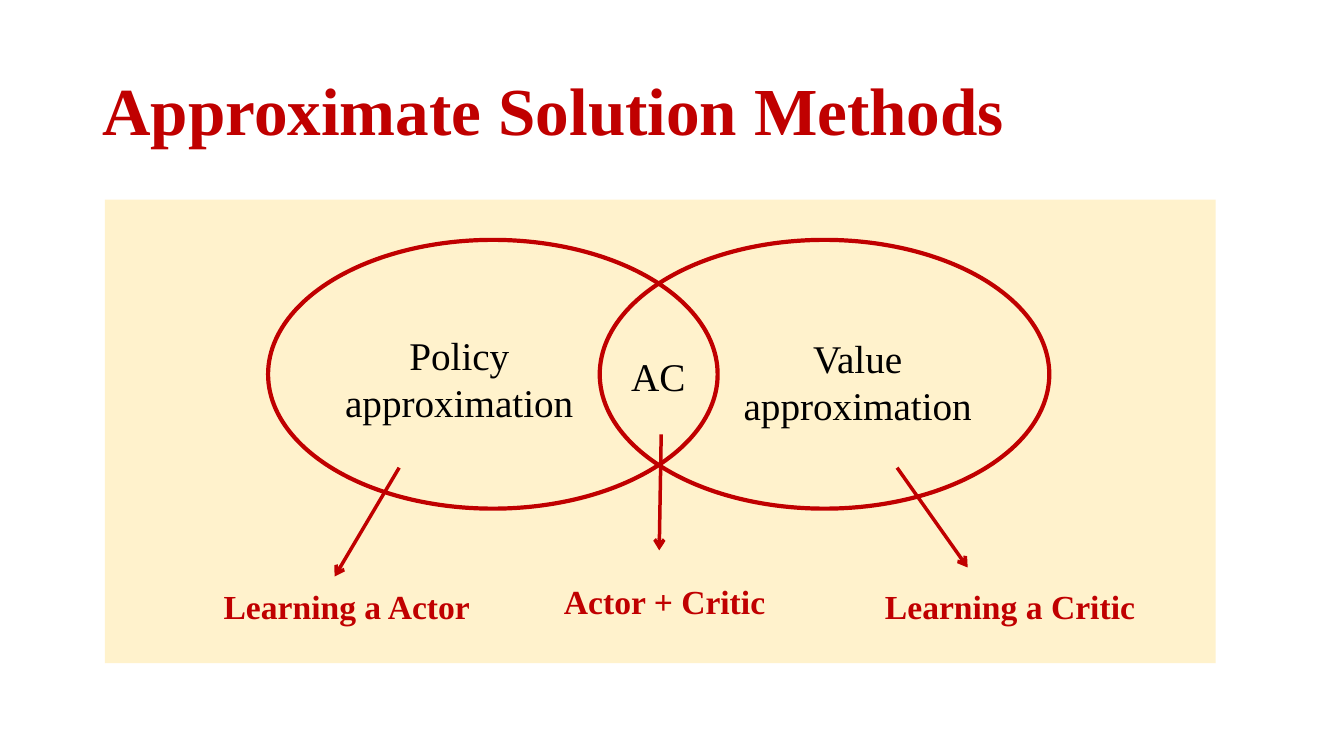
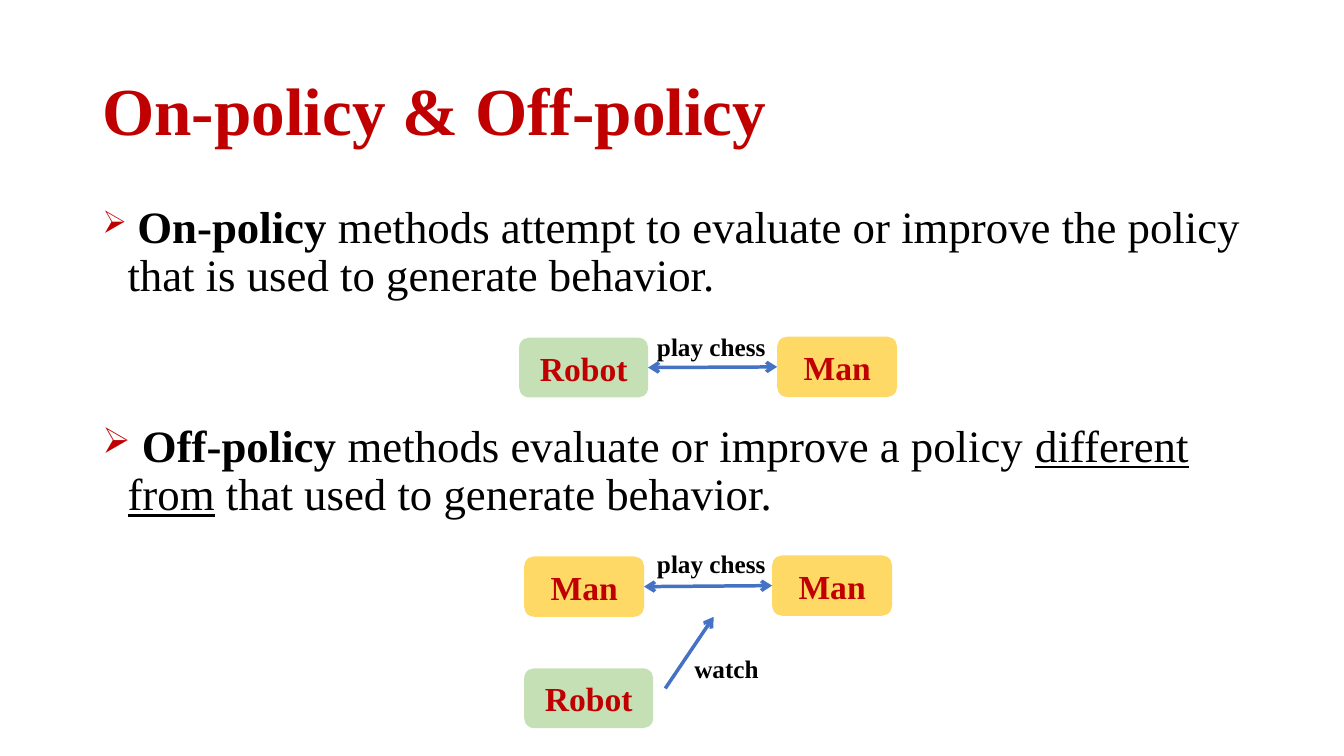
from typing import NamedTuple, Optional

from lxml.etree import SubElement
from pptx import Presentation
from pptx.dml.color import RGBColor
from pptx.enum.shapes import MSO_CONNECTOR, MSO_SHAPE
from pptx.enum.text import MSO_ANCHOR, PP_ALIGN
from pptx.oxml.ns import qn
from pptx.util import Emu, Inches, Pt

RED = RGBColor(0xC0, 0x00, 0x00)
BLACK = RGBColor(0x00, 0x00, 0x00)
BLUE = RGBColor(0x44, 0x72, 0xC4)
CREAM = RGBColor(0xFF, 0xF2, 0xCC)
GOLD = RGBColor(0xFF, 0xD9, 0x66)
GREEN = RGBColor(0xC5, 0xE0, 0xB4)
FONT = "Times New Roman"

# Square grid: 40 columns by 22.5 rows
WIDTH, HEIGHT = Inches(13.333), Inches(7.5)
COLS, ROWS = 40, 22.5


class Box(NamedTuple):
    col: float
    row: float
    cols: float
    rows: float


class Style(NamedTuple):
    size: float
    color: RGBColor = BLACK
    bold: bool = False
    underline: bool = False


class Label(NamedTuple):
    text: str
    box: Box
    style: Style
    align: PP_ALIGN = PP_ALIGN.CENTER


class Span(NamedTuple):
    text: str
    style: Style


class Bullet(NamedTuple):
    box: Box
    spans: tuple[Span, ...]


class Arrow(NamedTuple):
    start: tuple[float, float]
    end: tuple[float, float]
    color: RGBColor


class Player(NamedTuple):
    name: str
    col: float
    row: float


class PlayerKind(NamedTuple):
    cols: float
    rows: float
    fill: RGBColor


TITLE = Style(48, RED, bold=True)
SET_NAME = Style(28)
CAPTION = Style(24, RED, bold=True)
NOTE = Style(18, bold=True)
BODY = Style(32)
STRONG = Style(32, bold=True)
UNDERLINED = Style(32, underline=True)
KINDS = {"Man": PlayerKind(3.57, 1.8, GOLD), "Robot": PlayerKind(3.84, 1.78, GREEN)}


def x(cols: float) -> Emu:
    return Emu(round(WIDTH * cols / COLS))


def y(rows: float) -> Emu:
    return Emu(round(HEIGHT * rows / ROWS))


def place(box: Box) -> tuple[Emu, Emu, Emu, Emu]:
    return x(box.col), y(box.row), x(box.cols), y(box.rows)


def format_run(r, style: Style) -> None:
    r.font.name = FONT
    r.font.size = Pt(style.size)
    r.font.bold = style.bold
    r.font.underline = style.underline
    r.font.color.rgb = style.color


def set_text(tf, text: str, style: Style, align: PP_ALIGN):
    tf.text = text
    tf.word_wrap = True
    p = tf.paragraphs[0]
    p.alignment = align
    format_run(p.runs[0], style)
    return p


def add_label(s, label: Label):
    tf = s.shapes.add_textbox(*place(label.box)).text_frame
    return set_text(tf, label.text, label.style, label.align)


def add_slide(prs, title: str):
    s = prs.slides.add_slide(prs.slide_layouts[6])
    tf = s.shapes.add_textbox(*place(Box(2.75, 1.2, 34.5, 4.35))).text_frame
    tf.vertical_anchor = MSO_ANCHOR.MIDDLE
    set_text(tf, title, TITLE, PP_ALIGN.LEFT).line_spacing = 0.9
    return s


def add_shape(s, kind: MSO_SHAPE, box: Box, fill: Optional[RGBColor] = None,
              line: Optional[RGBColor] = None):
    sp = s.shapes.add_shape(kind, *place(box))
    sp.shadow.inherit = False
    if fill is None:
        sp.fill.background()
    else:
        sp.fill.solid()
        sp.fill.fore_color.rgb = fill
    if line is None:
        sp.line.fill.background()
    else:
        sp.line.color.rgb = line
        sp.line.width = Pt(3)
    return sp


def add_arrow(s, arrow: Arrow, both_ends: bool = False):
    (c1, r1), (c2, r2) = arrow.start, arrow.end
    cx = s.shapes.add_connector(MSO_CONNECTOR.STRAIGHT, x(c1), y(r1), x(c2), y(r2))
    cx.line.color.rgb = arrow.color
    cx.line.width = Pt(2.5)
    ln = cx.line._get_or_add_ln()
    for tag in ("a:headEnd", "a:tailEnd") if both_ends else ("a:tailEnd",):
        SubElement(ln, qn(tag), type="arrow")
    SubElement(cx._element.spPr, qn("a:effectLst"))
    return cx


def add_bullet(s, bullet: Bullet) -> None:
    tf = s.shapes.add_textbox(*place(bullet.box)).text_frame
    tf.word_wrap = True
    p = tf.paragraphs[0]
    p.line_spacing = 0.9
    p.space_before = Pt(10)
    pPr = p._p.get_or_add_pPr()
    pPr.set("marL", str(Inches(0.25)))
    pPr.set("indent", str(-Inches(0.25)))
    SubElement(SubElement(pPr, qn("a:buClr")), qn("a:srgbClr"), val=str(RED))
    SubElement(pPr, qn("a:buSzPct"), val="80000")
    SubElement(pPr, qn("a:buChar"), char="➢")
    for span in bullet.spans:
        r = p.add_run()
        r.text = span.text
        format_run(r, span.style)


def add_player(s, player: Player):
    kind = KINDS[player.name]
    box = Box(player.col, player.row, kind.cols, kind.rows)
    sp = add_shape(s, MSO_SHAPE.ROUNDED_RECTANGLE, box, fill=kind.fill)
    sp.text_frame.vertical_anchor = MSO_ANCHOR.MIDDLE
    set_text(sp.text_frame, player.name, CAPTION, PP_ALIGN.CENTER)
    return sp


def add_match(s, left: Player, right: Player, label_row: float) -> None:
    a, b = add_player(s, left), add_player(s, right)
    cx = add_arrow(s, Arrow((left.col, left.row), (right.col, right.row), BLUE), True)
    cx.begin_connect(a, 3)
    cx.end_connect(b, 1)
    add_label(s, Label("play chess", Box(19.26, label_row, 3.9, 1.2), NOTE, PP_ALIGN.LEFT))


def methods_slide(prs) -> None:
    s = add_slide(prs, "Approximate Solution Methods")
    # Overlapping sets on a panel
    add_shape(s, MSO_SHAPE.RECTANGLE, Box(3.12, 5.94, 33.06, 13.8), fill=CREAM)
    for col in (7.98, 17.85):
        add_shape(s, MSO_SHAPE.OVAL, Box(col, 7.14, 13.38, 8), line=RED)
    # Set names and captions
    for label in (
        Label("Policy approximation", Box(9.5, 9.7, 8.34, 3.12), SET_NAME),
        Label("Value approximation", Box(21.36, 9.8, 8.34, 3.12), SET_NAME),
        Label("AC", Box(16.62, 10.35, 5.94, 1.71), SET_NAME),
        Label("Learning a Actor", Box(6.24, 17.28, 8.16, 1.5), CAPTION),
        Label("Actor + Critic", Box(15.7, 17.13, 8.16, 1.5), CAPTION),
        Label("Learning a Critic", Box(25.98, 17.28, 8.16, 1.5), CAPTION),
    ):
        add_label(s, label)
    # Arrows from sets to captions
    for start, end in (
        ((11.88, 13.92), (9.96, 17.16)),
        ((19.68, 12.93), (19.62, 16.38)),
        ((26.7, 13.92), (28.8, 16.89)),
    ):
        add_arrow(s, Arrow(start, end, RED))


def policy_slide(prs) -> None:
    s = add_slide(prs, "On-policy & Off-policy")
    # Definitions
    add_bullet(s, Bullet(Box(2.75, 5.94, 34.5, 3.42), (
        Span(" ", Style(28)),
        Span("On-policy", STRONG),
        Span(" methods attempt to evaluate or improve the policy "
             "that is used to generate behavior.", BODY),
    )))
    add_bullet(s, Bullet(Box(2.75, 12.45, 34.5, 3.87), (
        Span(" Off-policy", STRONG),
        Span(" methods evaluate or improve a policy ", BODY),
        Span("different from", UNDERLINED),
        Span(" that used to generate behavior.", BODY),
    )))
    # Chess matches
    add_match(s, Player("Robot", 15.45, 10.05), Player("Man", 23.13, 10.02), 9.72)
    add_match(s, Player("Man", 15.6, 16.56), Player("Man", 22.98, 16.53), 16.17)
    # Watching robot
    add_player(s, Player("Robot", 15.6, 19.89))
    add_arrow(s, Arrow((19.8, 20.49), (21.24, 18.36), BLUE))
    add_label(s, Label("watch", Box(20.37, 19.29, 3.9, 1.2), NOTE, PP_ALIGN.LEFT))


def main() -> None:
    prs = Presentation()
    prs.slide_width, prs.slide_height = WIDTH, HEIGHT
    methods_slide(prs)
    policy_slide(prs)
    prs.save("out.pptx")


if __name__ == "__main__":
    main()
